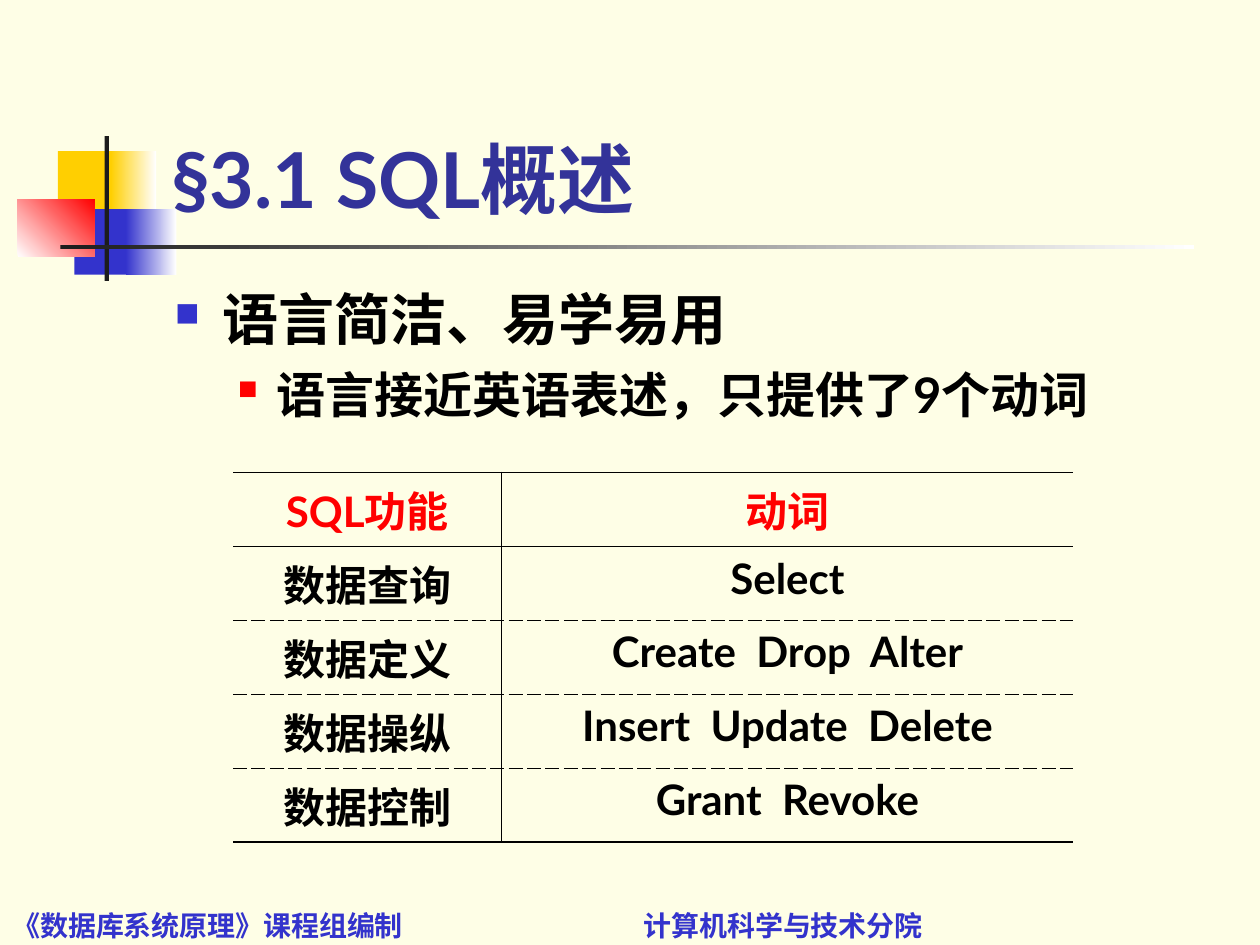
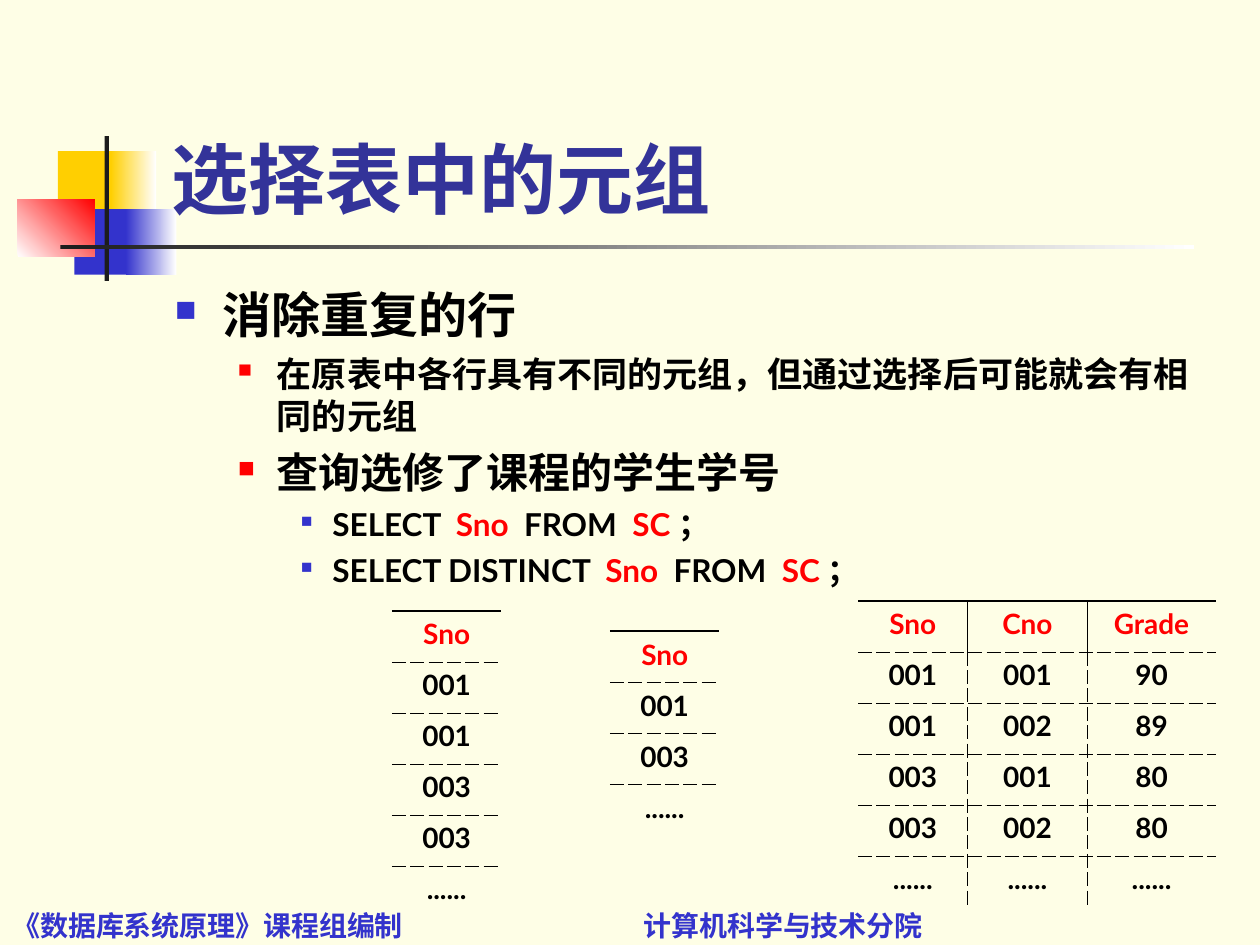
"""Build two database course slides: an SQL overview and a tuple selection example."""
import lxml.etree
import pptx
import pptx.dml.color
import pptx.enum.shapes
import pptx.enum.text
import pptx.oxml.ns
import pptx.util

RGBColor = pptx.dml.color.RGBColor
CREAM = RGBColor(0xFE, 0xFE, 0xE6)
YELLOW = RGBColor(0xFF, 0xCF, 0x01)
BLUE = RGBColor(0x33, 0x33, 0xCC)
INDIGO = RGBColor(0x33, 0x33, 0x99)
RED = RGBColor(0xFF, 0x00, 0x00)
WHITE = RGBColor(0xFF, 0xFF, 0xFF)
CHARCOAL = RGBColor(0x1C, 0x1C, 0x1C)
BLACK = RGBColor(0x00, 0x00, 0x00)

LATIN_FONT = "Lato"
CHINESE_FONT = "Noto Sans CJK SC"
GRID_COLUMNS, GRID_ROWS = 100, 75
THICK, SOLID, DASHED = (1.08, "solid"), (0.45, "solid"), (0.45, "dash")

# Bullet colour, bullet size in percent, left indent and hanging indent by level.
BULLETS = (
    (BLUE, 60, 3.8, 3.8),
    (RED, 55, 8.1, 3.1),
    (BLUE, 50, 12.5, 2.5),
)


def grid(units):
    """Return the length of a number of grid units, 100 to the slide's width."""
    return pptx.util.Inches(units * 10 / GRID_COLUMNS)


def add_element(parent, tag, **attributes):
    """Append a DrawingML element with the given attributes."""
    texts = {name: str(value) for name, value in attributes.items()}
    return lxml.etree.SubElement(parent, pptx.oxml.ns.qn(tag), texts)


def write(paragraph, text, *, size, color=BLACK, font=LATIN_FONT, chinese_font=LATIN_FONT):
    """Add a bold run of text in the given format."""
    run = paragraph.add_run()
    run.text = text
    run.font.size = pptx.util.Pt(size)
    run.font.bold = True
    run.font.color.rgb = color
    run.font.name = font
    add_element(run.font._element, "a:ea", typeface=chinese_font)


def add_text_box(slide, left, top, width, height, bottom=False):
    """Add a wrapping text box and return its text frame."""
    frame = slide.shapes.add_textbox(*map(grid, (left, top, width, height))).text_frame
    frame.word_wrap = True
    anchor = pptx.enum.text.MSO_ANCHOR
    frame.vertical_anchor = anchor.BOTTOM if bottom else anchor.TOP
    return frame


def add_block(slide, left, top, width, height, start, end=None, angle=0):
    """Add a rectangle in one colour, or fading from start to end."""
    rectangle = pptx.enum.shapes.MSO_SHAPE.RECTANGLE
    block = slide.shapes.add_shape(rectangle, *map(grid, (left, top, width, height)))
    block.shadow.inherit = False
    block.line.fill.background()
    if end is None:
        block.fill.solid()
        block.fill.fore_color.rgb = start
        return
    block.fill.gradient()
    block.fill.gradient_angle = angle
    for stop, color, position in zip(block.fill.gradient_stops, (start, end), (0, 1)):
        stop.color.rgb = color
        stop.position = position


def add_emblem(slide):
    """Add the coloured blocks and the crossing rules beside the title."""
    add_block(slide, 4.6, 12, 4.8, 5.2, YELLOW)
    add_block(slide, 8.8, 12, 3.6, 5.2, YELLOW, WHITE)
    add_block(slide, 5.9, 16.6, 4.6, 5.2, BLUE)
    add_block(slide, 10, 16.6, 4, 5.2, BLUE, WHITE)
    add_block(slide, 1.4, 15.8, 6.1, 4.6, WHITE, RED, angle=45)
    add_block(slide, 8.3, 10.8, 0.35, 11.5, CHARCOAL)
    add_block(slide, 4.8, 19.45, 90, 0.35, CHARCOAL, WHITE)


def add_footer(slide):
    """Add the footer, with the department at a tab stop."""
    frame = add_text_box(slide, 0, 72.9, GRID_COLUMNS, GRID_ROWS - 72.9, bottom=True)
    frame.margin_bottom = grid(0.2)
    paragraph = frame.paragraphs[0]
    tabs = add_element(paragraph._p.get_or_add_pPr(), "a:tabLst")
    add_element(tabs, "a:tab", pos=grid(50.1), algn="l")
    write(paragraph, "《数据库系统原理》课程组编制\t计算机科学与技术分院",
          size=16, color=BLUE, font=CHINESE_FONT, chinese_font=CHINESE_FONT)


def add_titled_slide(presentation, title):
    """Add a blank slide with the emblem, the footer and a title."""
    slide = presentation.slides.add_slide(presentation.slide_layouts[6])
    add_emblem(slide)
    add_footer(slide)
    frame = add_text_box(slide, 12.6, 2.3, 85.2, 16, bottom=True)
    write(frame.paragraphs[0], title, size=44, color=INDIGO)
    return slide


def set_bullet(paragraph, level):
    """Give a paragraph the square bullet and indents of its level."""
    color, percent, left, hanging = BULLETS[level]
    properties = paragraph._p.get_or_add_pPr()
    properties.set("marL", str(grid(left)))
    properties.set("indent", str(-grid(hanging)))
    add_element(add_element(properties, "a:buClr"), "a:srgbClr", val=color)
    add_element(properties, "a:buSzPct", val=percent * 1000)
    add_element(properties, "a:buFont", typeface="Wingdings", charset=2)
    add_element(properties, "a:buChar", char="n")
    paragraph.level = level


def add_outline(slide, items):
    """Add bulleted items, each a level, a size and its coloured runs."""
    frame = add_text_box(slide, 12.9, 22.1, 85, 48.5)
    for index, (level, size, *runs) in enumerate(items):
        paragraph = frame.add_paragraph() if index else frame.paragraphs[0]
        set_bullet(paragraph, level)
        if index:
            paragraph.space_before = pptx.util.Pt(size / 4)
        for text, color in runs:
            write(paragraph, text, size=size, color=color)


def set_borders(cell, **borders):
    """Draw the cell's left, right, top and bottom borders, or clear those given as None."""
    properties = cell._tc.get_or_add_tcPr()
    for side in ("left", "right", "top", "bottom"):
        tag = "a:ln" + side[0].upper()
        if borders[side] is None:
            add_element(add_element(properties, tag), "a:noFill")
            continue
        width, dash = borders[side]
        line = add_element(properties, tag, w=pptx.util.Pt(width))
        add_element(add_element(line, "a:solidFill"), "a:srgbClr", val=BLACK)
        add_element(line, "a:prstDash", val=dash)


def add_ruled_table(slide, left, top, widths, height, rows, *, size,
                    header_rule=DASHED, column_rule=DASHED, end_rule=None):
    """Add a centred table with a red header and ruled rows and columns."""
    frame = slide.shapes.add_table(len(rows), len(widths), grid(left), grid(top),
                                   grid(sum(widths)), grid(height * len(rows)))
    table = frame.table
    table.first_row = table.horz_banding = False
    for column, width in zip(table.columns, widths):
        column.width = grid(width)
    rules = [THICK, header_rule] + [DASHED] * (len(rows) - 2) + [end_rule]
    for row_index, texts in enumerate(rows):
        table.rows[row_index].height = grid(height)
        divider = column_rule if row_index else SOLID
        for column_index, text in enumerate(texts):
            cell = table.cell(row_index, column_index)
            is_last = column_index == len(widths) - 1
            set_borders(cell, left=divider if column_index else None,
                        right=None if is_last else divider,
                        top=rules[row_index], bottom=rules[row_index + 1])
            cell.fill.background()
            paragraph = cell.text_frame.paragraphs[0]
            paragraph.alignment = pptx.enum.text.PP_ALIGN.CENTER
            write(paragraph, text, size=size, color=BLACK if row_index else RED,
                  chinese_font=CHINESE_FONT)


def add_overview_slide(presentation):
    """Add the slide that lists the verbs of SQL."""
    slide = add_titled_slide(presentation, "§3.1 SQL概述")
    add_outline(slide, [
        (0, 32, ("语言简洁、易学易用", BLACK)),
        (1, 28, ("语言接近英语表述，只提供了9个动词", BLACK)),
    ])
    verbs = [
        ("SQL功能", "动词"),
        ("数据查询", "Select"),
        ("数据定义", "Create  Drop  Alter"),
        ("数据操纵", "Insert  Update  Delete"),
        ("数据控制", "Grant  Revoke"),
    ]
    add_ruled_table(slide, 18.5, 37.5, (21.3, 45.4), 5.87, verbs, size=24,
                    header_rule=SOLID, column_rule=SOLID, end_rule=THICK)


def add_selection_slide(presentation):
    """Add the slide that removes repeated rows from a query."""
    slide = add_titled_slide(presentation, "选择表中的元组")
    query = (("Sno", RED), ("  FROM  ", BLACK), ("SC ", RED), ("；", BLACK))
    add_outline(slide, [
        (0, 28, ("消除重复的行", BLACK)),
        (1, 20, ("在原表中各行具有不同的元组，但通过选择后可能就会有相同的元组", BLACK)),
        (1, 24, ("查询选修了课程的学生学号", BLACK)),
        (2, 18, ("SELECT  ", BLACK), *query),
        (2, 18, ("SELECT DISTINCT  ", BLACK), *query),
    ])
    grades = [
        ("Sno", "Cno", "Grade"),
        ("001", "001", "90"),
        ("001", "002", "89"),
        ("003", "001", "80"),
        ("003", "002", "80"),
        ("......",) * 3,
    ]
    all_numbers = [row[:1] for row in grades]
    distinct_numbers = list(dict.fromkeys(all_numbers))
    for left, top, widths, rows in (
        (68.1, 47.7, (8.7, 9.5, 10.2), grades),
        (31.1, 48.5, (8.7,), all_numbers),
        (48.4, 50.1, (8.7,), distinct_numbers),
    ):
        add_ruled_table(slide, left, top, widths, 4.05, rows, size=16)


def main():
    """Build and save the presentation."""
    presentation = pptx.Presentation()
    presentation.slide_width = grid(GRID_COLUMNS)
    presentation.slide_height = grid(GRID_ROWS)
    background = presentation.slide_master.background.fill
    background.solid()
    background.fore_color.rgb = CREAM
    add_overview_slide(presentation)
    add_selection_slide(presentation)
    presentation.save("out.pptx")


if __name__ == "__main__":
    main()
